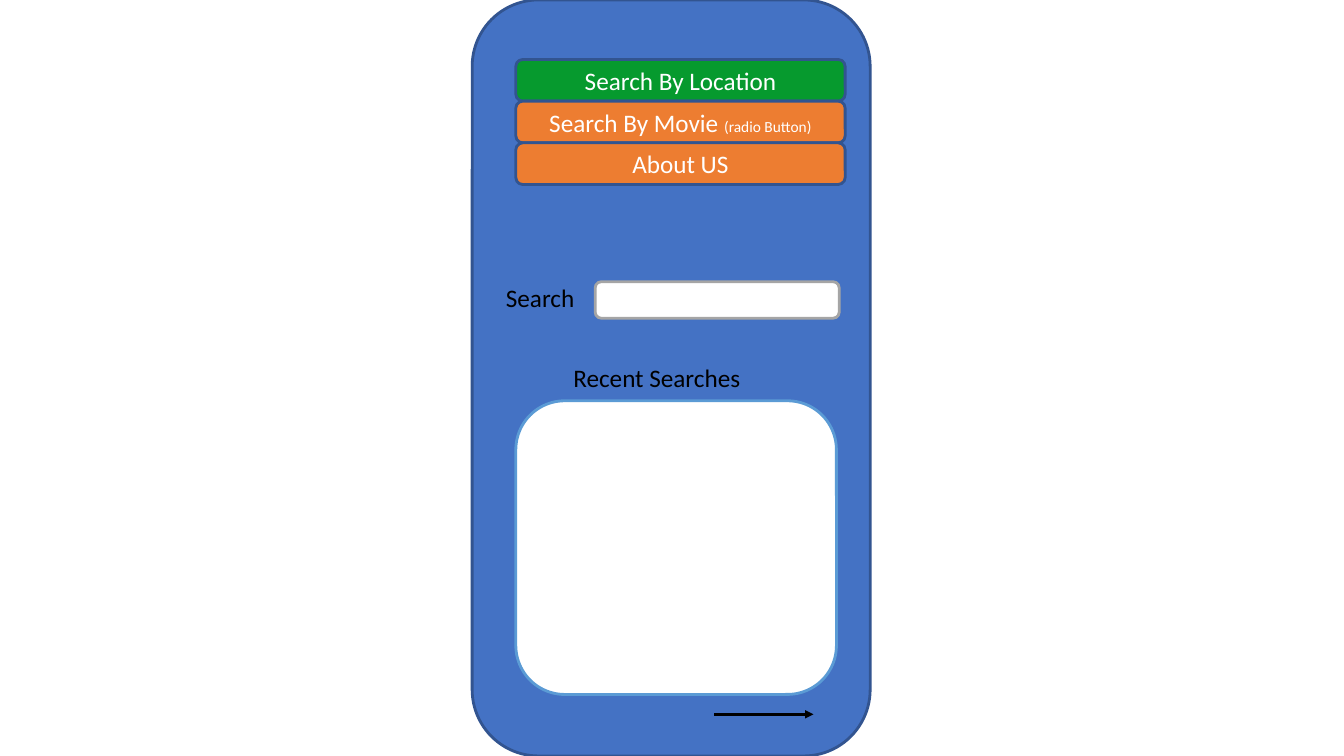
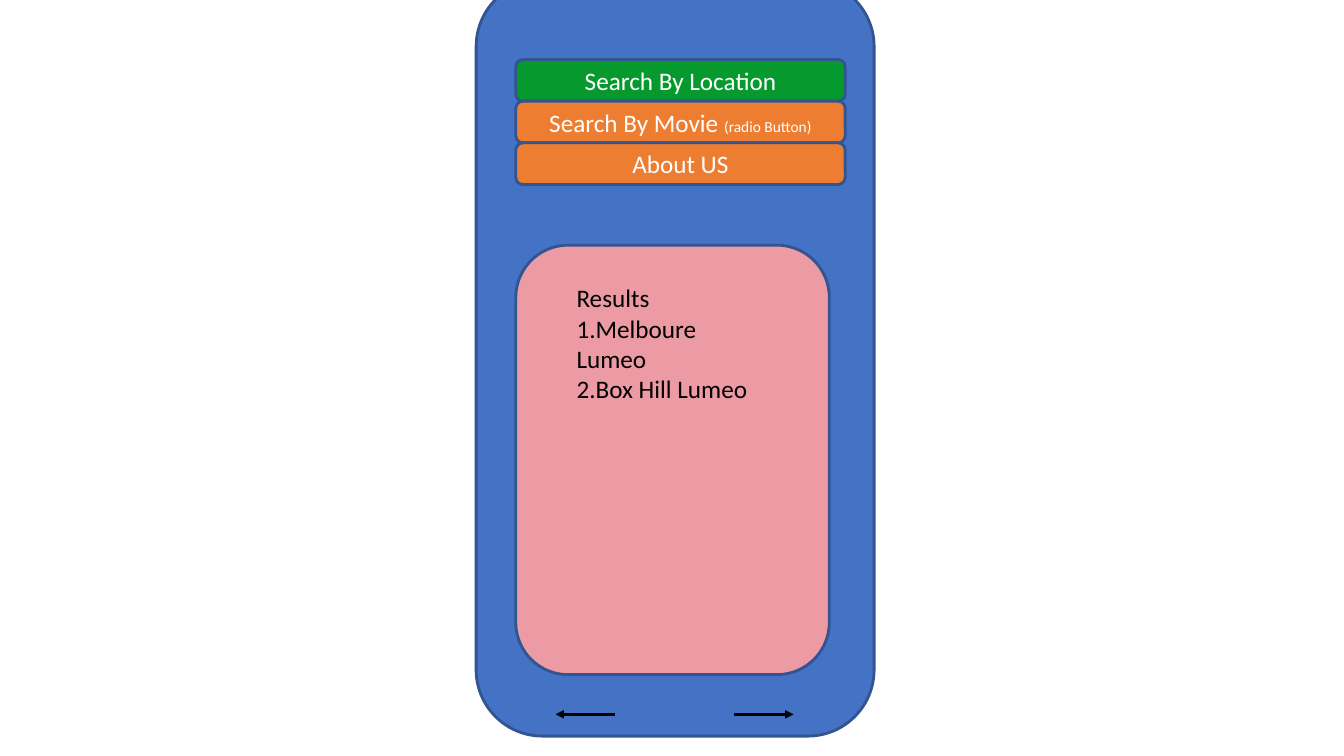
from lxml import etree
from pptx import Presentation
from pptx.dml.color import RGBColor
from pptx.enum.shapes import MSO_CONNECTOR, MSO_SHAPE
from pptx.enum.text import MSO_ANCHOR as ANCHOR, PP_ALIGN as ALIGN
from pptx.oxml.ns import qn
from pptx.util import Cm, Pt

# Shared look
FONT = "Calibri"
BLUE, NAVY, SKY = "4472C4", "325490", "5B9BD5"
GREEN, ORANGE, PINK = "069A2E", "ED7D31", "EC9BA4"
WHITE, BLACK, GREY = "FFFFFF", "000000", "A5A5A5"
LEFT = 13  # left edge of menu and panels, cm
MENU_TOP, MENU_W, MENU_H = 1.5, 8.3, 1.05
ARROW_Y = 18
MENU = [
    (GREEN, [("Search By Location", 18)]),
    (ORANGE, [("Search By Movie ", 18), ("(radio Button)", 11)]),
    (ORANGE, [("About US", 18)]),
]


def rgb(value):
    return RGBColor.from_string(value)


def add_run(p, text, size, color):
    r = p.add_run()
    r.text = text
    r.font.name = FONT
    r.font.size = Pt(size)
    r.font.color.rgb = rgb(color)


def add_box(s, x, y, w, h, fill, line=NAVY):
    sp = s.shapes.add_shape(MSO_SHAPE.ROUNDED_RECTANGLE, Cm(x), Cm(y), Cm(w), Cm(h))
    sp.shadow.inherit = False
    sp.fill.solid()
    sp.fill.fore_color.rgb = rgb(fill)
    sp.line.color.rgb = rgb(line)
    sp.line.width = Pt(2)
    return sp


def add_label(s, x, y, w, h, lines):
    tf = s.shapes.add_textbox(Cm(x), Cm(y), Cm(w), Cm(h)).text_frame
    tf.word_wrap = True
    for i, text in enumerate(lines):
        p = tf.add_paragraph() if i else tf.paragraphs[0]
        add_run(p, text, 18, BLACK)


def add_arrow(s, x1, x2):
    """Hairline arrow pointing at x2."""
    c = s.shapes.add_connector(MSO_CONNECTOR.STRAIGHT, Cm(x1), Cm(ARROW_Y), Cm(x2), Cm(ARROW_Y))
    c.line.color.rgb = rgb(BLACK)
    c.line.width = Pt(0)
    etree.SubElement(c.line._get_or_add_ln(), qn("a:tailEnd"), type="triangle")
    etree.SubElement(c._element.spPr, qn("a:effectLst"))


def add_screen(prs, x, y):
    """New slide with the phone body and its menu."""
    s = prs.slides.add_slide(prs.slide_layouts[6])
    add_box(s, x, y, 10.03, 19.05, BLUE)
    for i, (fill, runs) in enumerate(MENU):
        sp = add_box(s, LEFT, MENU_TOP + i * MENU_H, MENU_W, MENU_H, fill)
        tf = sp.text_frame
        tf.word_wrap = True
        tf.vertical_anchor = ANCHOR.MIDDLE
        p = tf.paragraphs[0]
        p.alignment = ALIGN.CENTER
        for text, size in runs:
            add_run(p, text, size, WHITE)
    return s


def search_screen(prs):
    s = add_screen(prs, 11.9, 0)
    # Search field
    add_box(s, 15, 7.1, 6.15, 0.92, WHITE, GREY)
    add_label(s, 12.5, 6.98, 7.16, 1.02, ["Search"])
    # Recent searches
    add_box(s, LEFT, 10.1, 8.08, 7.4, WHITE, SKY)
    add_label(s, 14.2, 9, 5.28, 1.02, ["Recent Searches"])
    add_arrow(s, 18, 20.5)


def results_screen(prs):
    s = add_screen(prs, 12, -0.5)
    # Results panel
    add_box(s, LEFT, 6.18, 7.9, 10.82, PINK)
    add_label(s, 14.28, 7, 5.2, 2.54, ["Results", "1.Melboure Lumeo", "2.Box Hill Lumeo"])
    # Next and back
    add_arrow(s, 18.5, 20)
    add_arrow(s, 15.5, 14)


def main():
    prs = Presentation()
    prs.slide_width, prs.slide_height = Cm(33.87), Cm(19.05)
    search_screen(prs)
    results_screen(prs)
    prs.save("out.pptx")


if __name__ == "__main__":
    main()
